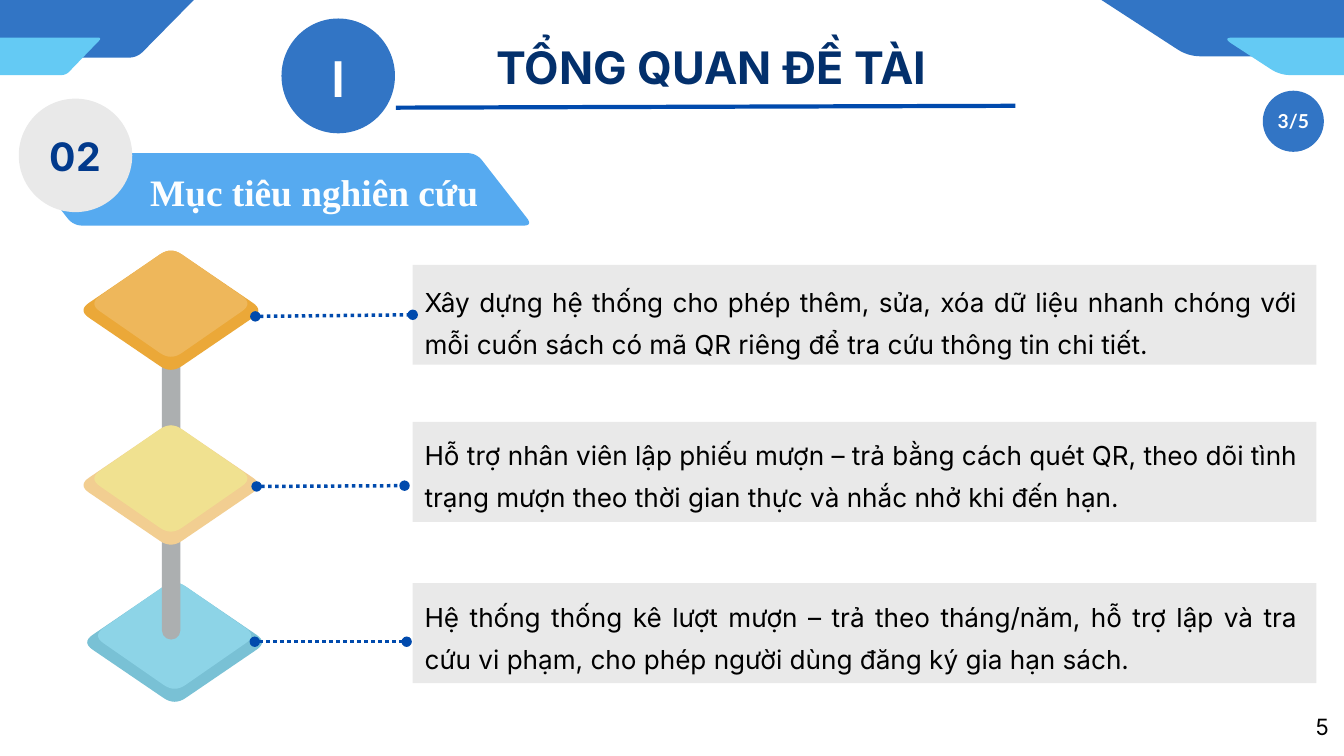
from lxml import etree
from pptx import Presentation
from pptx.dml.color import RGBColor
from pptx.enum.dml import MSO_LINE
from pptx.enum.shapes import MSO_CONNECTOR, MSO_SHAPE
from pptx.enum.text import MSO_ANCHOR, MSO_AUTO_SIZE, PP_ALIGN
from pptx.oxml.ns import qn
from pptx.util import Cm, Pt

STRAIGHT = MSO_CONNECTOR.STRAIGHT
OVAL, RECT, PILL = MSO_SHAPE.OVAL, MSO_SHAPE.RECTANGLE, MSO_SHAPE.ROUNDED_RECTANGLE
TOP, MIDDLE = MSO_ANCHOR.TOP, MSO_ANCHOR.MIDDLE
CENTER, JUSTIFY = PP_ALIGN.CENTER, PP_ALIGN.JUSTIFY
DOTS = MSO_LINE.ROUND_DOT
NO_FIT = MSO_AUTO_SIZE.NONE

WHITE = RGBColor(0xFF, 0xFF, 0xFF)
BLACK = RGBColor(0, 0, 0)
SNOW = RGBColor(0xFC, 0xFE, 0xFF)
BLUE = RGBColor(0x32, 0x75, 0xC5)
SKY = RGBColor(0x64, 0xCA, 0xF4)
BANNER = RGBColor(0x56, 0xAA, 0xF0)
NAVY = RGBColor(0x03, 0x30, 0x6C)
INK = RGBColor(0x02, 0x3A, 0x8C)
COBALT = RGBColor(0x00, 0x4A, 0xAD)
PALE = RGBColor(0xE9, 0xE9, 0xE9)
GRAY = RGBColor(0xAC, 0xAF, 0xB0)
GOLD, AMBER = RGBColor(0xEE, 0xB7, 0x5B), RGBColor(0xEB, 0xA8, 0x38)
LEMON, PEACH = RGBColor(0xF0, 0xE1, 0x90), RGBColor(0xF2, 0xCE, 0x91)
AQUA, TEAL = RGBColor(0x8D, 0xD4, 0xE7), RGBColor(0x79, 0xC1, 0xD5)

TITLE = {"name": "Inter", "size": Pt(48), "bold": True, "color": NAVY}
HEADING = {"name": "Times New Roman", "size": Pt(40), "bold": True, "color": SNOW}
BODY = {"name": "Inter", "size": Pt(28), "bold": False, "color": BLACK}
PAGE = {**BODY, "size": Pt(24)}
ROMAN = {"name": "Lato", "size": Pt(53), "bold": True, "color": WHITE}
NUMBER = {"name": "Inter", "size": Pt(42), "bold": True, "color": INK}
COUNT = {**ROMAN, "size": Pt(20.6)}

# Sizes in cm: face and side of a tier are half width, half height
SIDE, FACE, LIFT = (3.51, 2.39), (3.1, 2.15), 0.25
TIERS = [(6.46, 11.73, AMBER, GOLD), (6.46, 18.34, PEACH, LEMON), (6.6, 24.28, TEAL, AQUA)]

# Panel top, text offset, link start and end; an end of None joins the panel
GOALS = [
    (10.01, 0.43, (9.65, 11.96), None,
     "Xây dựng hệ thống cho phép thêm, sửa, xóa dữ liệu nhanh chóng với "
     "mỗi cuốn sách có mã QR riêng để tra cứu thông tin chi tiết."),
    (15.95, 0.28, (9.7, 18.39), (15.29, 18.36),
     "Hỗ trợ nhân viên lập phiếu mượn – trả bằng cách quét QR, theo dõi "
     "tình trạng mượn theo thời gian thực và nhắc nhở khi đến hạn."),
    (22.05, 0.3, (9.63, 24.26), (15.37, 24.26),
     "Hệ thống thống kê lượt mượn – trả theo tháng/năm, hỗ trợ lập và tra "
     "cứu vi phạm, cho phép người dùng đăng ký gia hạn sách."),
]


def paint(shape, color):
    shape.shadow.inherit = False
    shape.fill.solid()
    shape.fill.fore_color.rgb = color
    shape.line.fill.background()
    return shape


def write(shape, text, style, lead, align=CENTER, anchor=TOP, wrap=True, drop=0):
    frame = shape.text_frame
    form = {"margin_left": 0, "margin_right": 0, "margin_top": Cm(drop), "margin_bottom": 0,
            "word_wrap": wrap, "vertical_anchor": anchor, "auto_size": NO_FIT}
    for key, value in form.items():
        setattr(frame, key, value)
    frame.text = text
    para = frame.paragraphs[0]
    para.alignment, para.line_spacing, para.space_before = align, Pt(lead), Pt(0)
    for key, value in style.items():
        if key == "color":
            para.font.color.rgb = value
        else:
            setattr(para.font, key, value)


def add_shape(slide, kind, box, color):
    return paint(slide.shapes.add_shape(kind, *map(Cm, box)), color)


def add_text(slide, box, *words, **form):
    write(slide.shapes.add_textbox(*map(Cm, box)), *words, **form)


def add_soft(slide, corners, cut, color):
    """Draw a polygon whose corners are rounded from cut cm before to cut cm after."""
    def toward(start, end):
        span = ((end[0] - start[0]) ** 2 + (end[1] - start[1]) ** 2) ** 0.5
        return [a + (b - a) * cut / span for a, b in zip(start, end)]

    points = []
    for i, corner in enumerate(corners):
        first = toward(corner, corners[i - 1])
        last = toward(corner, corners[(i + 1) % len(corners)])
        for t in (step / 8 for step in range(9)):
            points.append([Cm((1 - t) ** 2 * a + 2 * t * (1 - t) * b + t * t * c)
                           for a, b, c in zip(first, corner, last)])
    pen = slide.shapes.build_freeform(*points[0])
    pen.add_line_segments(points[1:], close=True)
    paint(pen.convert_to_shape(), color)


def add_slant(slide, box, lean, cut, color):
    """Draw a soft parallelogram; a positive lean moves the top to the right."""
    x, y, w, h = box
    a, b = max(lean, 0), max(-lean, 0)
    add_soft(slide, [(x + a, y), (x + w - b, y), (x + w - a, y + h), (x + b, y + h)], cut, color)


def add_gem(slide, x, y, half, color):
    w, h = half
    add_soft(slide, [(x - w, y), (x, y - h), (x + w, y), (x, y + h)], 0.5, color)


def add_link(slide, start, end, width):
    link = slide.shapes.add_connector(STRAIGHT, *map(Cm, start + end))
    link.line.color.rgb = COBALT
    link.line.width = Pt(width)
    etree.SubElement(link._element.spPr, qn("a:effectLst"))
    return link


def add_corners(slide):
    add_slant(slide, (-11.13, -1.02, 19.46, 3.2), 3.15, 0.32, BLUE)
    add_slant(slide, (-4.83, 1.42, 8.69, 1.42), 1.37, 0.18, SKY)
    add_slant(slide, (40.06, -1.02, 19.45, 3.15), -4.85, 0.48, BLUE)
    add_slant(slide, (46.2, 1.42, 8.74, 1.42), -2.18, 0.41, SKY)


def add_header(slide, x, y):
    add_shape(slide, OVAL, (x, y, 5.61, 5.69), WHITE)
    disc = add_shape(slide, OVAL, (x + 0.66, y + 0.67, 4.29, 4.34), BLUE)
    write(disc, "I", ROMAN, 59.9, anchor=MIDDLE, wrap=False, drop=0.25)
    add_link(slide, (x + 4.98, y + 4.04), (x + 28.4, y + 3.97), 4.5)
    title = slide.shapes.title
    title.left, title.top, title.width, title.height = map(Cm, (x + 7.93, y + 1.12, 17.96, 2.18))
    write(title, "TỔNG QUAN ĐỀ TÀI", TITLE, 67.2)


def add_section(slide, x, y):
    add_slant(slide, (x - 0.07, y + 2.06, 19.5, 2.74), -2.13, 0.36, BANNER)
    disc = add_shape(slide, OVAL, (x, y, 4.29, 4.29), PALE)
    write(disc, "02", NUMBER, 47.5, anchor=MIDDLE, wrap=False, drop=0.1)
    add_text(slide, (x + 2.87, y + 2.39, 16.59, 1.83), "Mục tiêu nghiên cứu", HEADING, 56)


def add_tower(slide):
    for i, (x, y, side, face) in enumerate(TIERS[-1:] + TIERS[:-1]):
        add_gem(slide, x, y, SIDE, side)
        add_gem(slide, x, y - LIFT, FACE, face)
        if i == 0:
            pole = add_shape(slide, PILL, (6.12, 11.56, 0.7, 12.62), GRAY)
            pole.adjustments[0] = 0.5


def add_goal(slide, x, y, drop, start, end, text):
    w, h = 34.16, 3.78
    panel = add_shape(slide, RECT, (x, y, w, h), PALE)
    add_text(slide, (x + 0.45, y + drop, 32.97, 3.05), text, BODY, 44.8, align=JUSTIFY)
    link = add_link(slide, start, end or (x, y + h / 2), 3.75)
    if end is None:
        link.end_connect(panel, 1)
    link.line.dash_style = DOTS
    for tag in ("a:headEnd", "a:tailEnd"):
        etree.SubElement(link.line._get_or_add_ln(), qn(tag), type="oval")


def add_count(slide, x, y):
    disc = add_shape(slide, OVAL, (x, y, 2.31, 2.31), BLUE)
    write(disc, "3/5", COUNT, 23.3, anchor=MIDDLE, wrap=False)


def main():
    deck = Presentation()
    deck.slide_width, deck.slide_height = Cm(50.8), Cm(28.58)
    slide = deck.slides.add_slide(deck.slide_layouts[5])
    add_corners(slide)
    add_header(slide, 9.98, 0.03)
    add_section(slide, 0.71, 3.73)
    add_tower(slide)
    for goal in GOALS:
        add_goal(slide, 15.6, *goal)
    add_text(slide, (49.76, 26.8, 0.43, 0.56), "5", PAGE, 33.6, wrap=False)
    add_count(slide, 47.73, 3.43)
    deck.save("out.pptx")


if __name__ == "__main__":
    main()
